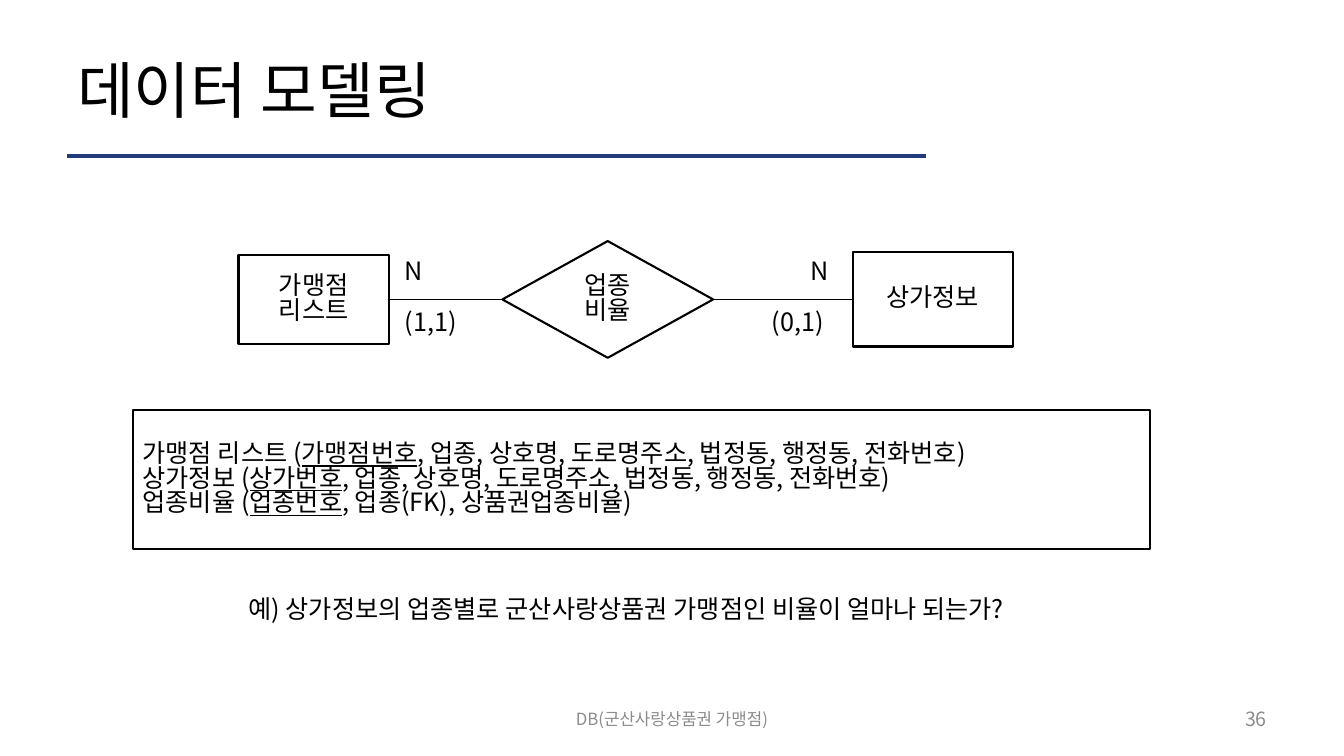
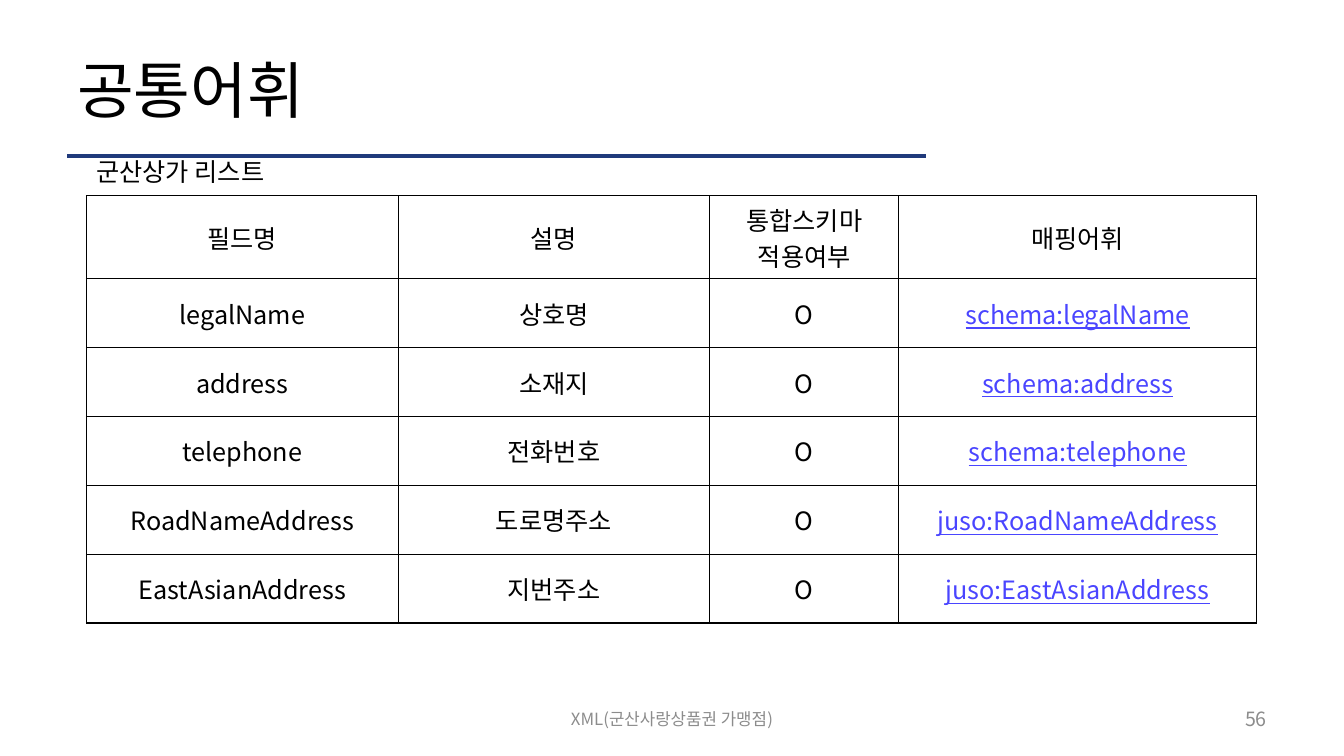
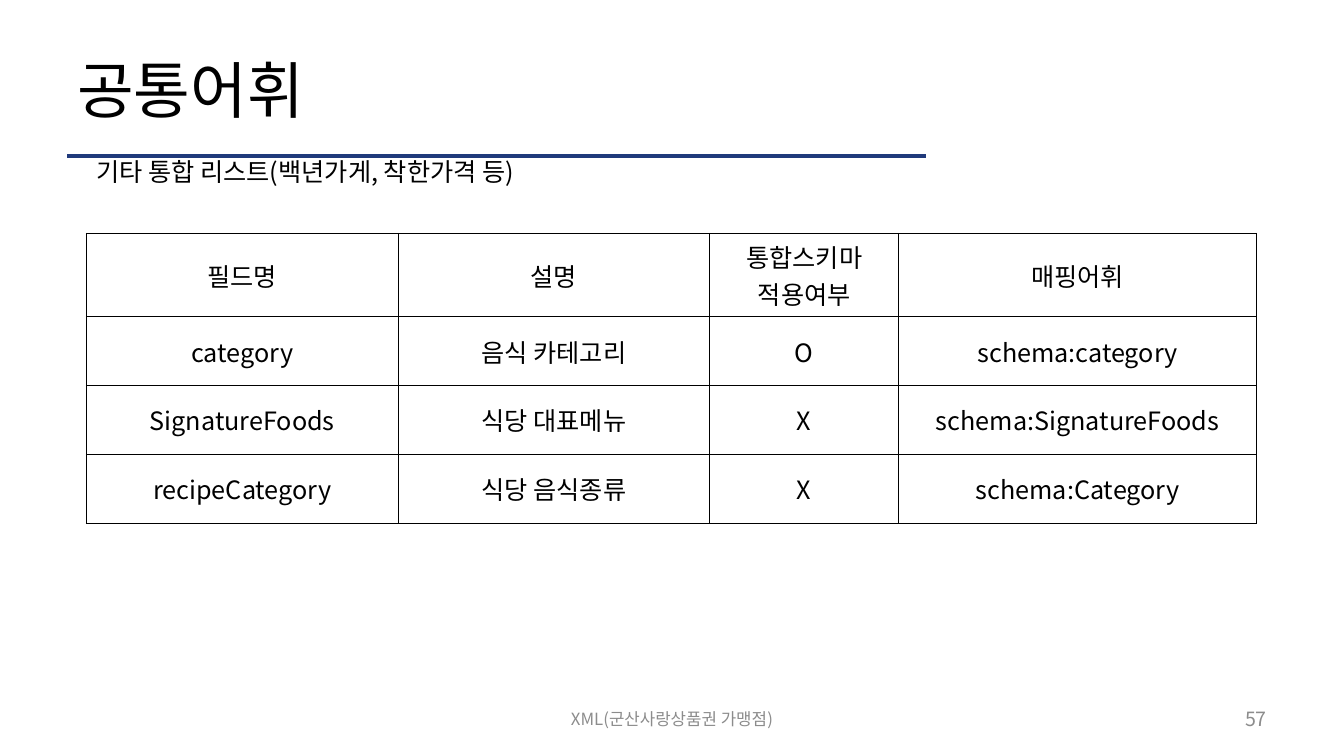
"""Three slides on data modelling and shared vocabulary for Gunsan voucher shops."""
from dataclasses import dataclass

from lxml import etree
from pptx import Presentation
from pptx.dml.color import RGBColor
from pptx.enum.shapes import MSO_CONNECTOR, MSO_SHAPE
from pptx.enum.text import MSO_ANCHOR, PP_ALIGN
from pptx.oxml.ns import qn
from pptx.util import Emu, Pt

LINE = MSO_CONNECTOR.STRAIGHT
RECT, RHOMB = MSO_SHAPE.RECTANGLE, MSO_SHAPE.FLOWCHART_DECISION
TOP, MID = MSO_ANCHOR.TOP, MSO_ANCHOR.MIDDLE
LEFT, MIDST, RIGHT = PP_ALIGN.LEFT, PP_ALIGN.CENTER, PP_ALIGN.RIGHT


@dataclass(frozen=True)
class Theme:
    font: str = "Noto Sans CJK KR"
    ink: str = "000000"
    paper: str = "FFFFFF"
    rule: str = "203A7B"
    mute: str = "8C8C8C"
    link: str = "4A45FF"
    head: int = 44
    body: int = 18
    page: int = 14
    foot: int = 12
    tight: float = 0.82


theme = Theme()
deck = Presentation()
deck.slide_width, deck.slide_height = Emu(12192000), Emu(6858000)
UNIT = deck.slide_width / 160


def grid(*cells):
    return [Emu(round(cell * UNIT)) for cell in cells]


def write(frame, text, size=theme.body, color=theme.ink, align=LEFT,
          anchor=TOP, wrap=True, under=False, lead=theme.tight):
    frame.word_wrap, frame.vertical_anchor = wrap, anchor
    for row, line in enumerate(text.split("\n")):
        para = frame.add_paragraph() if row else frame.paragraphs[0]
        para.alignment, para.line_spacing = align, lead
        for part, words in enumerate(line.split("_")):
            run = para.add_run()
            run.text = words
            run.font.size, run.font.name = Pt(size), theme.font
            run.font.color.rgb = RGBColor.from_string(color)
            run.font.underline = under or part % 2 == 1
            east = etree.SubElement(run._r.get_or_add_rPr(), qn("a:ea"))
            east.set("typeface", theme.font)


HEADS = ["필드명", "설명", "통합스키마\n적용여부", "매핑어휘"]
COLS = [37.1, 37.1, 22.5, 42.6]
HEAD_ROW, BODY_ROW = 9.8, 8.2
XML_FOOT = "XML(군산사랑상품권 가맹점)"
PAGES = [
    dict(title="데이터 모델링", foot="DB(군산사랑상품권 가맹점)", page="36"),
    dict(title="공통어휘", foot=XML_FOOT, page="56", top=23.3, links=True,
         note="군산상가 리스트", wide=23.4, rows=[
             ["legalName", "상호명", "O", "schema:legalName"],
             ["address", "소재지", "O", "schema:address"],
             ["telephone", "전화번호", "O", "schema:telephone"],
             ["RoadNameAddress", "도로명주소", "O", "juso:RoadNameAddress"],
             ["EastAsianAddress", "지번주소", "O", "juso:EastAsianAddress"]]),
    dict(title="공통어휘", foot=XML_FOOT, page="57", top=27.8, links=False,
         note="기타 통합 리스트(백년가게, 착한가격 등)", wide=54.2, rows=[
             ["category", "음식 카테고리", "O", "schema:category"],
             ["SignatureFoods", "식당 대표메뉴", "X", "schema:SignatureFoods"],
             ["recipeCategory", "식당 음식종류", "X", "schema:Category"]]),
]

MODEL = """가맹점 리스트 (_가맹점번호_, 업종, 상호명, 도로명주소, 법정동, 행정동, 전화번호)
상가정보 (_상가번호_, 업종, 상호명, 도로명주소, 법정동, 행정동, 전화번호)
업종비율 (_업종번호_, 업종(FK), 상품권업종비율)"""
AXIS = 35.65
BOXES = [
    (RHOMB, 59.8, AXIS - 6.95, 25.1, 13.9, "업종\n비율", MIDST),
    (RECT, 28.4, AXIS - 5.3, 17.9, 10.6, "가맹점\n리스트", MIDST),
    (RECT, 101.5, AXIS - 5.6, 19.1, 11.2, "상가정보", MIDST),
    (RECT, 15.8, 48.8, 121.1, 16.6, MODEL, LEFT),
]
LABELS = [
    (47, 30.4, 5, "N"), (95.3, 30.4, 5, "N"),
    (47, 36.5, 9.6, "(1,1)"), (90.7, 36.5, 9.6, "(0,1)"),
    (28.4, 70.7, 95.6, "예) 상가정보의 업종별로 군산사랑상품권 가맹점인 비율이 얼마나 되는가?"),
]

for page in PAGES:
    slide = deck.slides.add_slide(deck.slide_layouts[6])
    shapes = slide.shapes
    lines = [(8, 110.3, 18.6, theme.rule, 3)]
    texts = [
        (8, 3.6, 144, 15, page["title"],
         dict(size=theme.head, anchor=MID, lead=0.9)),
        (54.7, 83.4, 50.6, 4.8, page["foot"],
         dict(size=theme.foot, color=theme.mute, align=MIDST, anchor=MID)),
        (114.7, 83.4, 37.3, 4.8, page["page"],
         dict(size=theme.page, color=theme.mute, align=RIGHT, anchor=MID)),
    ]
    if "rows" in page:
        texts.append((10.3, 18.6, page["wide"], 4.8, page["note"], {}))
        rows = [HEADS] + page["rows"]
        high = [HEAD_ROW] + [BODY_ROW] * len(page["rows"])
        table = shapes.add_table(
            len(rows), len(COLS),
            *grid(10.3, page["top"], sum(COLS), sum(high))).table
        table.first_row = table.horz_banding = False
        for col, width in zip(table.columns, grid(*COLS)):
            col.width = width
        for row, height in zip(table.rows, grid(*high)):
            row.height = height
        for r, row in enumerate(rows):
            for c, text in enumerate(row):
                cell = table.cell(r, c)
                link = page["links"] and r > 0 and c == len(COLS) - 1
                write(cell.text_frame, text, align=MIDST, under=link, lead=1.0,
                      color=theme.link if link else theme.ink)
                cell.vertical_anchor = MID
                props = cell._tc.get_or_add_tcPr()
                for side in "LRTB":
                    edge = etree.SubElement(props, qn("a:ln" + side), w="12700")
                    fill = etree.SubElement(edge, qn("a:solidFill"))
                    etree.SubElement(fill, qn("a:srgbClr"), val=theme.ink)
                cell.fill.solid()
                cell.fill.fore_color.rgb = RGBColor.from_string(theme.paper)
    else:
        lines += [(46.3, 59.8, AXIS, theme.ink, 1),
                  (84.9, 101.5, AXIS, theme.ink, 1)]
        texts += [(x, y, w, 4.8, text, dict(wrap=False))
                  for x, y, w, text in LABELS]
        for kind, x, y, w, h, text, align in BOXES:
            box = shapes.add_shape(kind, *grid(x, y, w, h))
            box.shadow.inherit = False
            box.fill.solid()
            box.fill.fore_color.rgb = RGBColor.from_string(theme.paper)
            box.line.color.rgb = RGBColor.from_string(theme.ink)
            box.line.width = Pt(1.5)
            write(box.text_frame, text, align=align, anchor=MID)
    for start, end, y, color, width in lines:
        rule = shapes.add_connector(LINE, *grid(start, y, end, y))
        rule.line.color.rgb = RGBColor.from_string(color)
        rule.line.width = Pt(width)
        etree.SubElement(rule._element.spPr, qn("a:effectLst"))
    for x, y, w, h, text, style in texts:
        write(shapes.add_textbox(*grid(x, y, w, h)).text_frame, text, **style)

deck.save("out.pptx")
